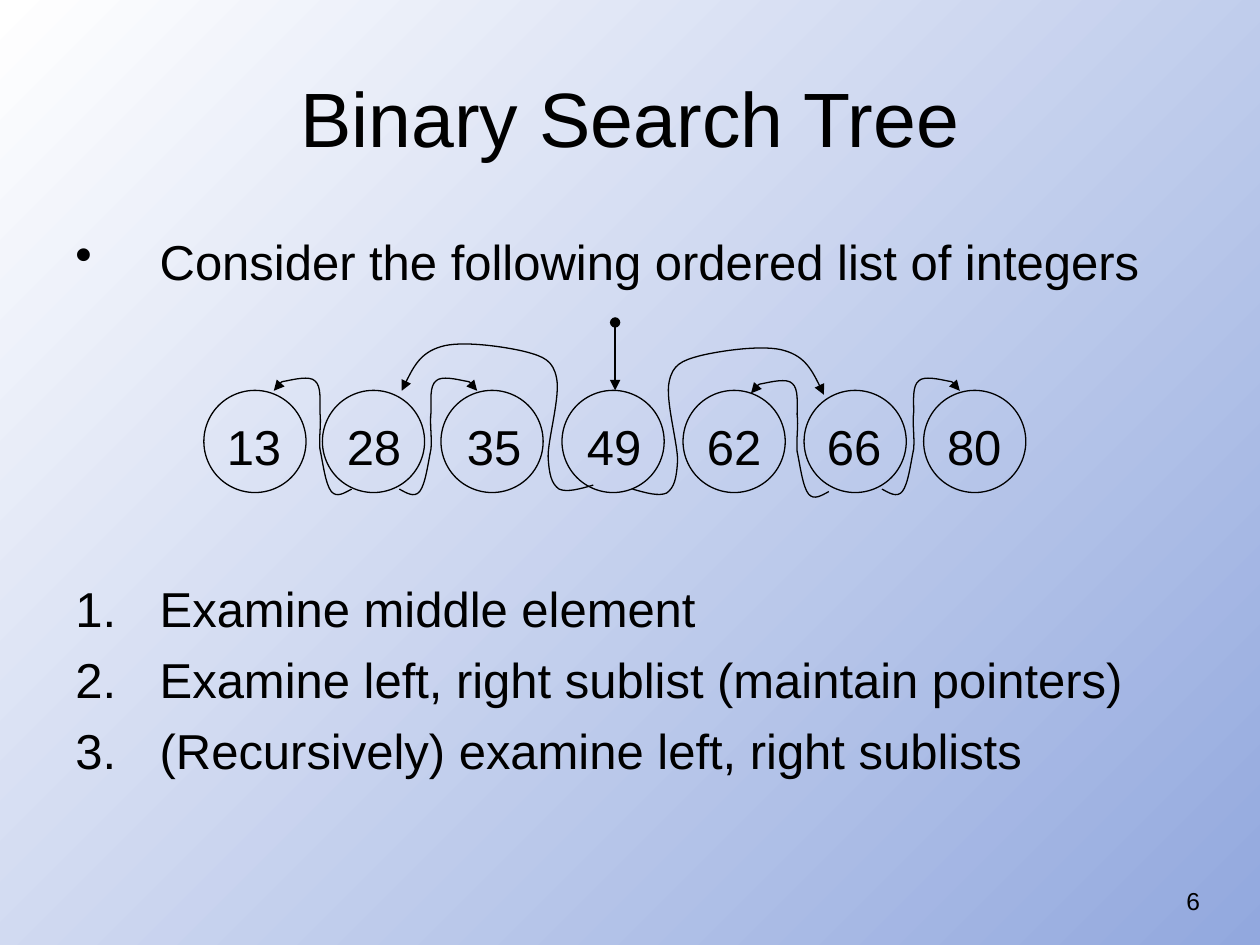
from dataclasses import dataclass

from pptx import Presentation
from pptx.dml.color import RGBColor
from pptx.enum.shapes import MSO_CONNECTOR, MSO_SHAPE
from pptx.enum.text import MSO_ANCHOR, PP_ALIGN
from pptx.oxml.ns import qn
from pptx.oxml.xmlchemy import OxmlElement
from pptx.util import Cm, Pt


@dataclass(frozen=True)
class Theme:
    font: str = "Arial"
    ink: RGBColor = RGBColor(0x00, 0x00, 0x00)
    bg_start: RGBColor = RGBColor(0xFF, 0xFF, 0xFF)
    bg_end: RGBColor = RGBColor(0x92, 0xA8, 0xDE)
    title: int = 44
    body: int = 28
    number: int = 14
    line: float = 0.75


THEME = Theme()

TITLE = "Binary Search Tree"
PAGE = "6"
BULLET = ("a:buChar", "char", "•")
NUMBER = ("a:buAutoNum", "type", "arabicPeriod")
BODY = [
    ("Consider the following ordered list of integers", BULLET, 0),
    ("Examine middle element", NUMBER, 164.5),
    ("Examine left, right sublist (maintain pointers)", NUMBER, 7),
    ("(Recursively) examine left, right sublists", NUMBER, 7),
]
INDENT = 1.7

NODES = [(13, 4.11), (28, 6.5), (35, 8.89), (49, 11.33), (62, 13.77), (66, 16.21), (80, 18.62)]
NODE_TOP, NODE_SIZE = 7.87, 2.06
LABEL_LEFT, LABEL_TOP, LABEL_W, LABEL_H = 3.91, 8.28, 2.42, 1.6
ROOT_X, ROOT_TOP = 12.4, 6.5

WIDE_ARC = [
    (0.28, 0.08), (0.53, 0.15), (0.69, 0.08),
    (0.84, -0.03), (0.89, -0.2), (0.91, -0.58),
    (0.91, -0.94), (0.66, -1.8), (0.74, -2.16),
    (0.81, -2.51), (0.99, -2.59), (1.37, -2.69),
    (1.78, -2.79), (2.67, -2.92), (3.07, -2.79),
    (3.48, -2.67), (3.68, -2.29), (3.86, -1.9),
]
SMALL_ARC = [
    (0.15, 0.08), (0.3, 0.18), (0.41, 0.05),
    (0.53, -0.1), (0.58, -0.53), (0.64, -0.81),
    (0.66, -1.07), (0.61, -1.32), (0.64, -1.55),
    (0.64, -1.78), (0.61, -2.08), (0.74, -2.18),
    (0.84, -2.29), (1.17, -2.21), (1.32, -2.18),
    (1.45, -2.16), (1.52, -2.06), (1.57, -1.98),
]
LEFT, RIGHT = -1, 1
POINTERS = [
    (WIDE_ARC, 11.96, 9.78, LEFT),
    (WIDE_ARC, 12.75, 9.86, RIGHT),
    (SMALL_ARC, 8.05, 9.86, RIGHT),
    (SMALL_ARC, 17.78, 9.86, RIGHT),
    (SMALL_ARC, 7.09, 9.86, LEFT),
    (SMALL_ARC, 16.71, 9.91, LEFT),
]


def add_run(p, text, size):
    r = p.add_run()
    r.text = text
    r.font.name = THEME.font
    r.font.size = Pt(size)
    r.font.color.rgb = THEME.ink


def add_text(s, box, text, size, align):
    tf = s.shapes.add_textbox(*map(Cm, box)).text_frame
    tf.word_wrap = True
    p = tf.paragraphs[0]
    p.alignment = align
    add_run(p, text, size)


def outline(sp, **ends):
    sp.line.color.rgb = THEME.ink
    sp.line.width = Pt(THEME.line)
    ln = sp.element.spPr.find(qn("a:ln"))
    for name, kind in ends.items():
        end = OxmlElement(f"a:{name}")
        end.set("type", kind)
        ln.append(end)


def add_title(s):
    sp = s.shapes.title
    sp.left, sp.top, sp.width, sp.height = map(Cm, (1.27, 0.76, 22.86, 3.18))
    tf = sp.text_frame
    tf.vertical_anchor = MSO_ANCHOR.MIDDLE
    p = tf.paragraphs[0]
    p.alignment = PP_ALIGN.CENTER
    add_run(p, TITLE, THEME.title)


def add_body(s):
    tf = s.shapes.add_textbox(*map(Cm, (1.27, 4.55, 24.13, 13.08))).text_frame
    tf.word_wrap = True
    for i, (text, (tag, key, value), before) in enumerate(BODY):
        p = tf.add_paragraph() if i else tf.paragraphs[0]
        p.space_before = Pt(before)
        add_run(p, text, THEME.body)
        pPr = p._p.get_or_add_pPr()
        pPr.set("marL", str(Cm(INDENT)))
        pPr.set("indent", str(-Cm(INDENT)))
        mark = OxmlElement(tag)
        mark.set(key, value)
        pPr.append(mark)


def add_nodes(s):
    for i, (value, left) in enumerate(NODES):
        box = (LABEL_LEFT + i * LABEL_W, LABEL_TOP, LABEL_W, LABEL_H)
        add_text(s, box, str(value), THEME.body, PP_ALIGN.CENTER)
        circle = (left, NODE_TOP, NODE_SIZE, NODE_SIZE)
        sp = s.shapes.add_shape(MSO_SHAPE.OVAL, *map(Cm, circle))
        sp.shadow.inherit = False
        sp.fill.background()
        outline(sp)


def add_root_arrow(s):
    ends = map(Cm, (ROOT_X, ROOT_TOP, ROOT_X, NODE_TOP))
    sp = s.shapes.add_connector(MSO_CONNECTOR.STRAIGHT, *ends)
    outline(sp, headEnd="oval", tailEnd="triangle")
    sp.element.spPr.append(OxmlElement("a:effectLst"))


def add_pointer(s, arc, x, y, side):
    builder = s.shapes.build_freeform(Cm(x), Cm(y))
    points = [(Cm(x + side * dx), Cm(y + dy)) for dx, dy in arc]
    builder.add_line_segments(points, close=False)
    sp = builder.convert_to_shape()
    sp.shadow.inherit = False
    sp.fill.background()
    outline(sp, tailEnd="triangle")
    segments = list(sp.element.iter(qn("a:lnTo")))
    for i in range(0, len(segments), 3):
        curve = OxmlElement("a:cubicBezTo")
        segments[i].addprevious(curve)
        for segment in segments[i:i + 3]:
            curve.append(segment[0])
            segment.getparent().remove(segment)


def main():
    prs = Presentation()
    prs.slide_width, prs.slide_height = Cm(25.4), Cm(19.05)
    s = prs.slides.add_slide(prs.slide_layouts[5])
    fill = s.background.fill
    fill.gradient()
    fill.gradient_angle = 315
    for stop, color in zip(fill.gradient_stops, (THEME.bg_start, THEME.bg_end)):
        stop.color.rgb = color

    add_text(s, (18.52, 17.73, 5.92, 1.32), PAGE, THEME.number, PP_ALIGN.RIGHT)
    add_title(s)
    add_body(s)
    add_nodes(s)
    add_root_arrow(s)
    for pointer in POINTERS:
        add_pointer(s, *pointer)
    prs.save("out.pptx")


if __name__ == "__main__":
    main()
